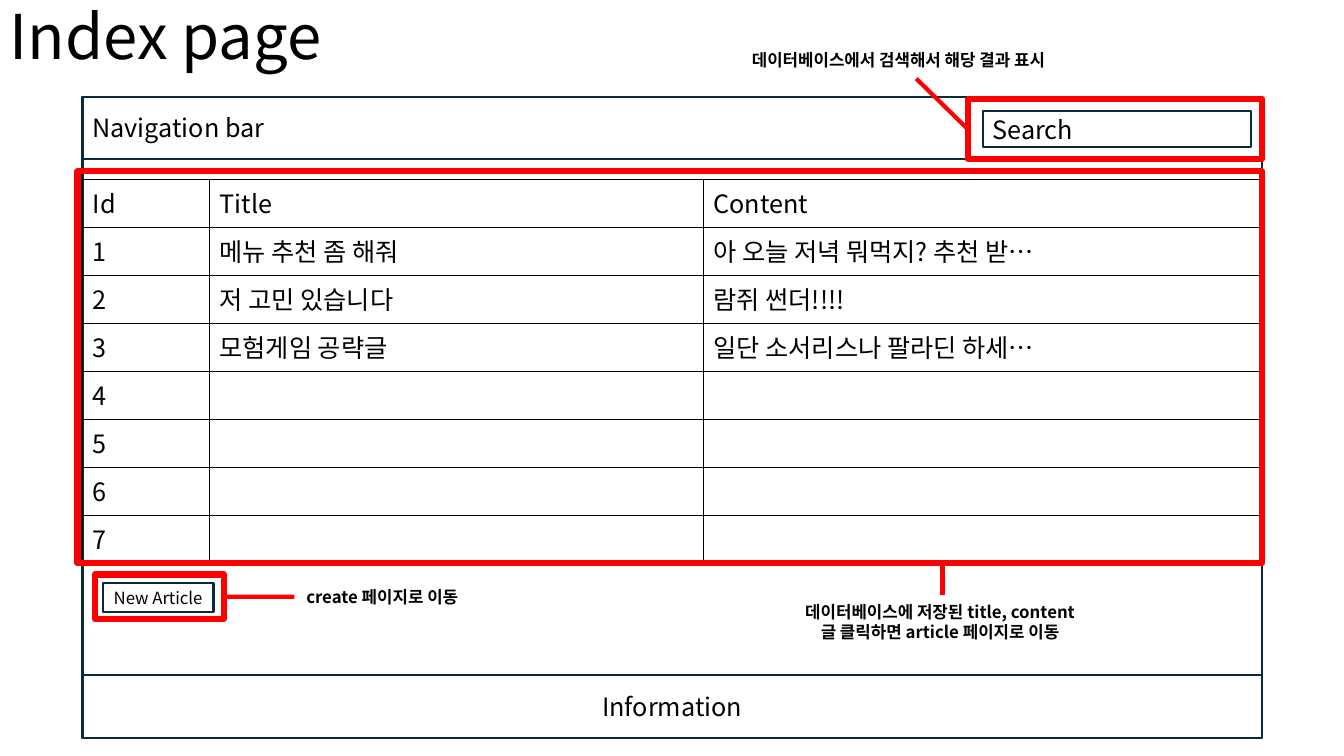
from lxml import etree
from pptx import Presentation
from pptx.dml.color import RGBColor
from pptx.enum import shapes, text
from pptx.oxml import ns
from pptx.util import Pt

BLACK = RGBColor(0x00, 0x00, 0x00)
NAVY = RGBColor(0x09, 0x2A, 0x39)
RED = RGBColor(0xFF, 0x00, 0x00)
FONT = "Noto Sans CJK KR"
LEFT, WIDTH, BAR_HEIGHT = 59, 842.4, 44.6
ROW_HEIGHT = 34.3


def write(frame, content, size, bold=False, align=text.PP_ALIGN.LEFT):
    """Fill a text frame, one paragraph per line, with Latin and East Asian font."""
    frame.text = content
    for paragraph in frame.paragraphs:
        paragraph.alignment = align
        for run in paragraph.runs:
            for key, value in {"name": FONT, "size": Pt(size), "bold": bold}.items():
                setattr(run.font, key, value)
            run.font.color.rgb = BLACK
            etree.SubElement(run.font._element, ns.qn("a:ea"), typeface=FONT)


def outline(left, top, width, height, color=NAVY, weight=1.5):
    """Add an unfilled rectangle."""
    box = slide.shapes.add_shape(
        shapes.MSO_SHAPE.RECTANGLE, Pt(left), Pt(top), Pt(width), Pt(height))
    box.shadow.inherit = False
    box.fill.background()
    box.line.color.rgb = color
    box.line.width = Pt(weight)
    box.text_frame.vertical_anchor = text.MSO_ANCHOR.MIDDLE
    return box


prs = Presentation()
prs.slide_width, prs.slide_height = Pt(960), Pt(540)
slide = prs.slides.add_slide(prs.slide_layouts[6])

title = slide.shapes.add_textbox(Pt(0), Pt(0), Pt(828), Pt(56)).text_frame
title.word_wrap = True
title.vertical_anchor = text.MSO_ANCHOR.MIDDLE
write(title, "Index page", 44)
title.paragraphs[0].line_spacing = 0.9

# Page wireframe
outline(LEFT, 69, WIDTH, 458)
for label, place, size, align in [
    ("Navigation bar", (LEFT, 69, WIDTH, BAR_HEIGHT), 18, text.PP_ALIGN.LEFT),
    ("Search", (702, 79.2, 191.5, 26), 18, text.PP_ALIGN.LEFT),
    ("Information", (LEFT, 482.4, WIDTH, BAR_HEIGHT), 18, text.PP_ALIGN.CENTER),
    ("New Article", (73.4, 416.2, 79.2, 21), 12, text.PP_ALIGN.CENTER),
]:
    write(outline(*place).text_frame, label, size, align=align)

# Article list
articles = [
    ("Id", "Title", "Content"),
    ("1", "메뉴 추천 좀 해줘", "아 오늘 저녁 뭐먹지? 추천 받…"),
    ("2", "저 고민 있습니다", "람쥐 썬더!!!!"),
    ("3", "모험게임 공략글", "일단 소서리스나 팔라딘 하세…"),
    *[(str(number), "", "") for number in range(4, 8)],
]
article_table = slide.shapes.add_table(
    len(articles), 3, Pt(LEFT), Pt(128.2), Pt(WIDTH), Pt(ROW_HEIGHT * len(articles))).table
article_table.first_row = article_table.horz_banding = False
for column, width in zip(article_table.columns, (90.7, 352.8, 398.9)):
    column.width = Pt(width)
for row, values in zip(article_table.rows, articles):
    row.height = Pt(ROW_HEIGHT)
    for cell, value in zip(row.cells, values):
        write(cell.text_frame, value, 18)
        properties = cell._tc.get_or_add_tcPr()
        for side in ("lnL", "lnR", "lnT", "lnB"):
            border = etree.SubElement(properties, ns.qn(f"a:{side}"), w=str(Pt(1)))
            fill = etree.SubElement(border, ns.qn("a:solidFill"))
            etree.SubElement(fill, ns.qn("a:srgbClr"), val=str(BLACK))
        cell.fill.background()

# Red highlights with their leaders
search_mark = outline(691.2, 70.6, 210.2, 43.2, RED, 4.5)
create_mark = outline(67.7, 410.4, 92.2, 31.7, RED, 4.5)
outline(55.4, 122.4, 846, 280, RED, 4.5)
for mark, side, start, end in [
    (search_mark, 1, (691.2, 92.2), (654.5, 56.2)),
    (create_mark, 3, (159.9, 426.2), (210.2, 426.2)),
    (None, None, (673.2, 404), (673.2, 424.8)),
]:
    leader = slide.shapes.add_connector(
        shapes.MSO_CONNECTOR.STRAIGHT, *map(Pt, start + end))
    if mark:
        leader.begin_connect(mark, side)
    leader.line.color.rgb = RED
    leader.line.width = Pt(3)
    etree.SubElement(leader._element.spPr, ns.qn("a:effectLst"))

# Notes beside the leaders
for content, place, align in [
    ("데이터베이스에서 검색해서 해당 결과 표시", (530, 31.7, 249.8, 21.6), text.PP_ALIGN.LEFT),
    ("create 페이지로 이동", (211.7, 415.4, 131, 21.6), text.PP_ALIGN.LEFT),
    ("데이터베이스에 저장된 title, content \n글 클릭하면 article 페이지로 이동 ",
     (561.6, 426.2, 222.5, 36), text.PP_ALIGN.CENTER),
]:
    note = slide.shapes.add_textbox(*map(Pt, place)).text_frame
    note.word_wrap = False
    note.auto_size = text.MSO_AUTO_SIZE.SHAPE_TO_FIT_TEXT
    write(note, content, 12, bold=True, align=align)

prs.save("out.pptx")
